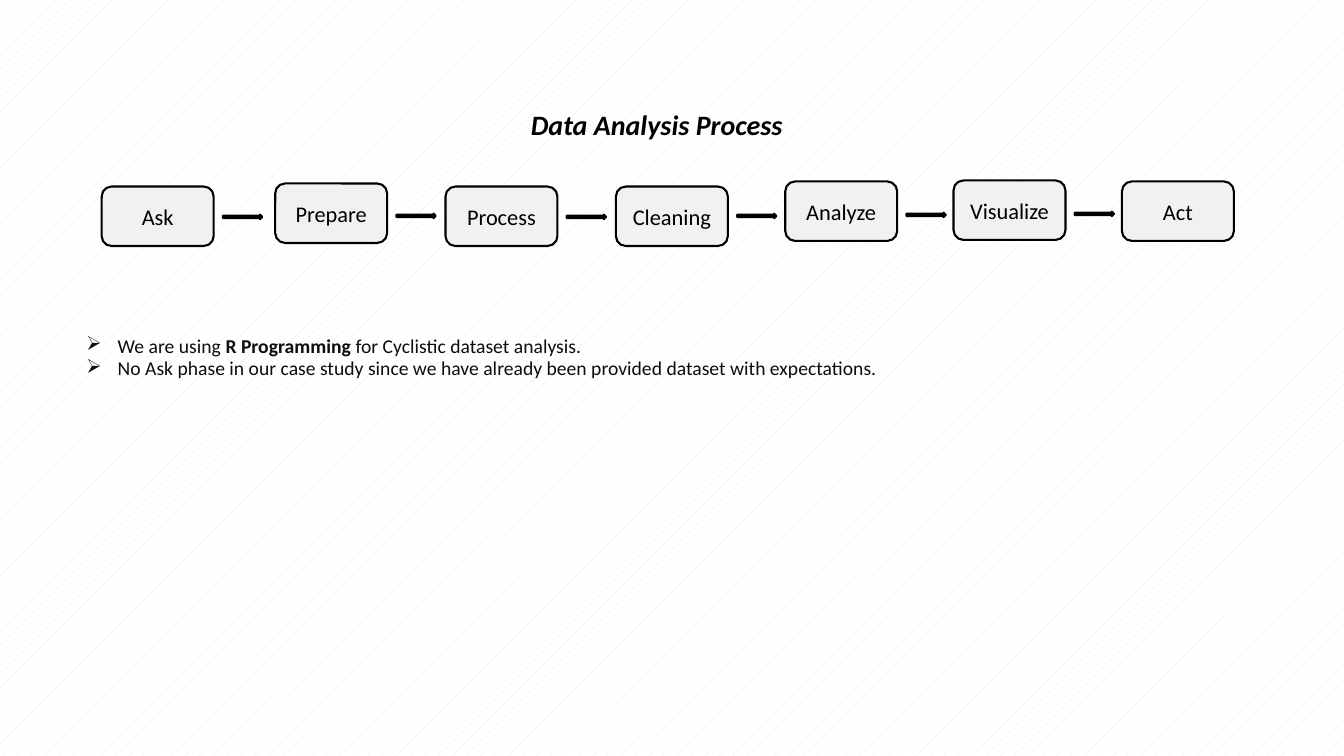
"""Build the data analysis process slide."""
from lxml import etree
from pptx import Presentation
from pptx.dml.color import RGBColor
from pptx.enum.dml import MSO_PATTERN
from pptx.enum.shapes import MSO_SHAPE
from pptx.enum.text import MSO_ANCHOR, PP_ALIGN
from pptx.oxml.ns import qn
from pptx.util import Inches, Pt

BOX, ARROW = MSO_SHAPE.ROUNDED_RECTANGLE, MSO_SHAPE.RIGHT_ARROW
CENTER, LEFT = PP_ALIGN.CENTER, PP_ALIGN.LEFT
TOP, MIDDLE = MSO_ANCHOR.TOP, MSO_ANCHOR.MIDDLE
DOTS = MSO_PATTERN.PERCENT_5


def color(value):
    return RGBColor.from_string(value)


def add_text(p, text, size=14, fg="000000", bold=False, italic=False):
    r = p.add_run()
    r.text = text
    r.font.name = "Calibri"
    r.font.size = Pt(size)
    r.font.bold = bold
    r.font.italic = italic
    r.font.color.rgb = color(fg)


class Deck:
    """Slide style and elements, with lengths in percent of the slide."""

    ink, body, panel = "000000", "0D0D0D", "F3F0F3"

    def __init__(self, prs):
        self.prs = prs
        self.s = prs.slides.add_slide(prs.slide_layouts[6])

    def place(self, x, y, w, h):
        sw, sh = self.prs.slide_width, self.prs.slide_height
        return [round(v * size / 100) for v, size in zip((x, y, w, h), (sw, sh, sw, sh))]

    def background(self, fg, bg):
        fill = self.s.background.fill
        fill.patterned()
        fill.pattern = DOTS
        fill.fore_color.rgb = color(fg)
        fill.back_color.rgb = color(bg)

    def shape(self, kind, *at, fill):
        sp = self.s.shapes.add_shape(kind, *self.place(*at))
        sp.shadow.inherit = False
        sp.fill.solid()
        sp.fill.fore_color.rgb = color(fill)
        sp.line.color.rgb = color(self.ink)
        sp.line.width = Pt(1.5)
        return sp

    def step(self, label, *at):
        tf = self.shape(BOX, *at, fill=self.panel).text_frame
        tf.vertical_anchor = MIDDLE
        p = tf.paragraphs[0]
        p.alignment = CENTER
        add_text(p, label, size=16, fg=self.ink)

    def arrow(self, *at):
        self.shape(ARROW, *at, fill=self.ink)

    def text_box(self, *at):
        tf = self.s.shapes.add_textbox(*self.place(*at)).text_frame
        tf.word_wrap = True
        tf.vertical_anchor = TOP
        return tf

    def title(self, text, *at):
        p = self.text_box(*at).paragraphs[0]
        p.alignment = CENTER
        add_text(p, text, size=20, fg=self.ink, bold=True, italic=True)

    def bullets(self, items, *at):
        tf = self.text_box(*at)
        tf.margin_top = Inches(0.52)
        for i, runs in enumerate(items):
            p = tf.add_paragraph() if i else tf.paragraphs[0]
            p.alignment = LEFT
            p.line_spacing = 0.95
            pPr = p._p.get_or_add_pPr()
            pPr.set("marL", str(Inches(0.31)))
            pPr.set("indent", str(-Inches(0.31)))
            etree.SubElement(pPr, qn("a:buFont"), typeface="Wingdings")
            etree.SubElement(pPr, qn("a:buChar"), char="\u00d8")
            for text, bold in runs:
                add_text(p, text, fg=self.body, bold=bold)


STEPS = [
    ("Ask", 7.57, 24.67, 28.4),
    ("Prepare", 20.48, 24.27, 28.27),
    ("Process", 33.15, 24.67, 28.4),
    ("Cleaning", 45.83, 24.67, 28.27),
    ("Analyze", 58.43, 24, 28.13),
    ("Visualize", 70.95, 23.87, 28),
    ("Act", 83.48, 24, None),
]
NOTES = [
    [("We are using ", False), ("R Programming ", True),
     ("for Cyclistic dataset analysis.", False)],
    [("No Ask phase in our case study since we have already been provided "
      "dataset with expectations.", False)],
]

prs = Presentation()
prs.slide_width, prs.slide_height = Inches(13.33), Inches(7.5)
deck = Deck(prs)
deck.background("EAE8E8", "FFFFFF")
deck.title("Data Analysis Process", 4.8, 13.6, 88.15, 8.8)
for label, x, y, arrow_y in STEPS:
    deck.step(label, x, y, 8.33, 7.87)
    if arrow_y:
        deck.arrow(x + 9.02, arrow_y, 2.92, 0.6)
deck.bullets(NOTES, 5.7, 37.47, 88.45, 44.93)
prs.save("out.pptx")
